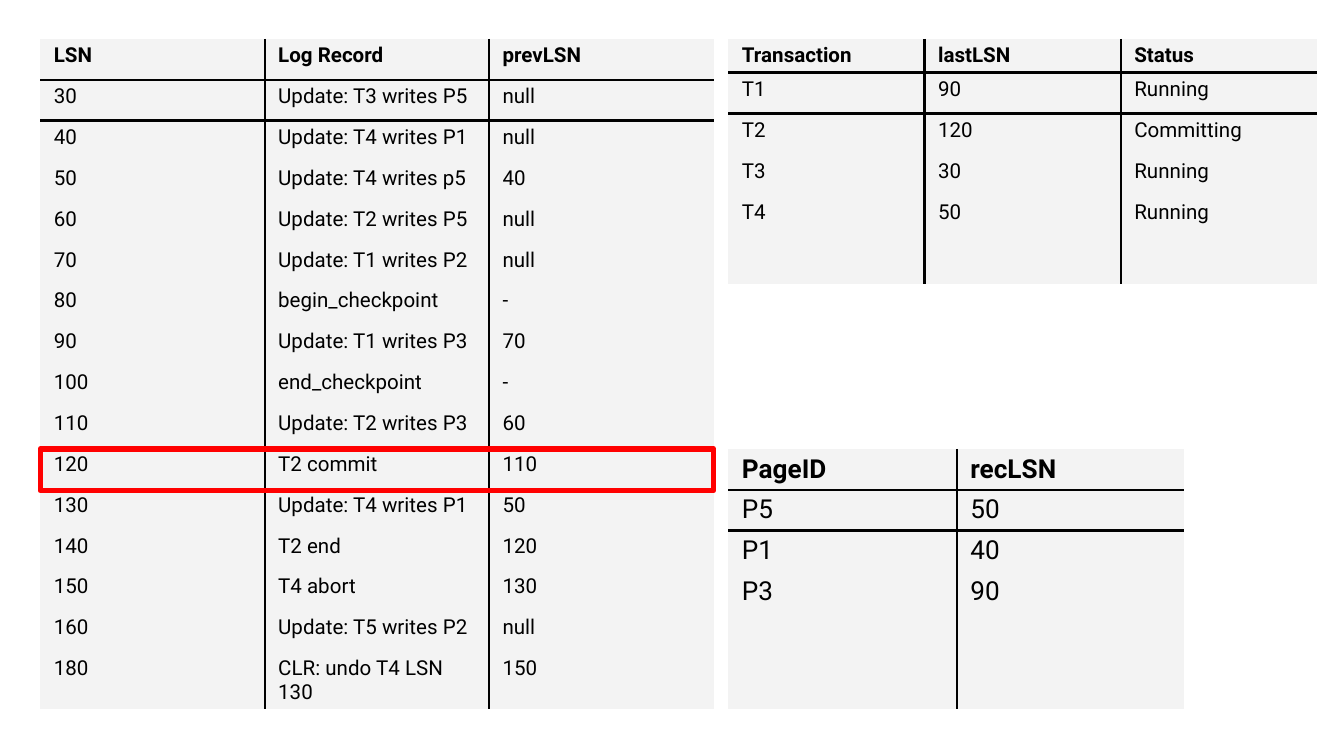
from dataclasses import dataclass

from lxml import etree
from pptx import Presentation
from pptx.dml.color import RGBColor
from pptx.enum.shapes import MSO_SHAPE
from pptx.oxml.ns import qn
from pptx.util import Inches, Pt

RECTANGLE = MSO_SHAPE.RECTANGLE
BLACK = RGBColor(0x00, 0x00, 0x00)
PALE_GREY = RGBColor(0xF3, 0xF3, 0xF3)
RED = RGBColor(0xFF, 0x00, 0x00)
FONT = "Roboto"
BORDER_WIDTH = Pt(1.5)
RULED_ROWS = 2
FRAME_SIZE = Inches(3.28)
ROW_HEIGHT = Pt(21.9)
EMPTY_ROW_HEIGHT = Inches(0.36)


@dataclass(frozen=True)
class TableSpec:
    left: float
    top: float
    column_widths: tuple[float, ...]
    header_height: int
    font_size: int
    rows: list[tuple[str, ...]]
    empty_rows: int = 0


LOG = TableSpec(0.3, 0.29, (1.67, 1.67, 1.67), ROW_HEIGHT, 11, [
    ("LSN", "Log Record", "prevLSN"),
    ("30", "Update: T3 writes P5", "null"),
    ("40", "Update: T4 writes P1", "null"),
    ("50", "Update: T4 writes p5", "40"),
    ("60", "Update: T2 writes P5", "null"),
    ("70", "Update: T1 writes P2", "null"),
    ("80", "begin_checkpoint", "-"),
    ("90", "Update: T1 writes P3", "70"),
    ("100", "end_checkpoint", "-"),
    ("110", "Update: T2 writes P3", "60"),
    ("120", "T2 commit", "110"),
    ("130", "Update: T4 writes P1", "50"),
    ("140", "T2 end", "120"),
    ("150", "T4 abort", "130"),
    ("160", "Update: T5 writes P2", "null"),
    ("180", "CLR: undo T4 LSN 130", "150"),
])
TRANSACTIONS = TableSpec(5.42, 0.29, (1.46, 1.46, 1.46), Inches(0.25), 11, [
    ("Transaction", "lastLSN", "Status"),
    ("T1", "90", "Running"),
    ("T2", "120", "Committing"),
    ("T3", "30", "Running"),
    ("T4", "50", "Running"),
], empty_rows=1)
DIRTY_PAGES = TableSpec(5.42, 3.34, (1.7, 1.69), ROW_HEIGHT, 14, [
    ("PageID", "recLSN"),
    ("P5", "50"),
    ("P1", "40"),
    ("P3", "90"),
], empty_rows=2)


def set_borders(cell, visible: dict[str, bool]) -> None:
    properties = cell._tc.get_or_add_tcPr()
    for side, shown in visible.items():
        line = etree.SubElement(properties, qn(f"a:ln{side}"))
        if shown:
            line.set("w", str(BORDER_WIDTH))
            fill = etree.SubElement(line, qn("a:solidFill"))
            etree.SubElement(fill, qn("a:srgbClr"), val=str(BLACK))
        else:
            etree.SubElement(line, qn("a:noFill"))


def format_cell(cell, text: str, font_size: int, bold: bool) -> None:
    cell.margin_left = cell.margin_right = Inches(0.1)
    cell.margin_top = cell.margin_bottom = Pt(2.6)
    cell.fill.solid()
    cell.fill.fore_color.rgb = PALE_GREY
    if text:
        cell.text = text
    font = cell.text_frame.paragraphs[0].font
    font.name = FONT
    font.size = Pt(font_size)
    font.bold = bold
    font.color.rgb = BLACK


def draw_table(slide, spec: TableSpec) -> None:
    column_count = len(spec.column_widths)
    rows = spec.rows + [("",) * column_count] * spec.empty_rows
    heights = [spec.header_height] + [ROW_HEIGHT] * (len(spec.rows) - 1)
    heights += [EMPTY_ROW_HEIGHT] * spec.empty_rows
    frame = slide.shapes.add_table(
        len(rows), column_count, Inches(spec.left), Inches(spec.top),
        FRAME_SIZE, FRAME_SIZE)
    table = frame.table
    table.horz_banding = False
    for column, width in zip(table.columns, spec.column_widths):
        column.width = Inches(width)
    for row_index, (values, height) in enumerate(zip(rows, heights)):
        table.rows[row_index].height = height
        for column_index, text in enumerate(values):
            cell = table.cell(row_index, column_index)
            set_borders(cell, {
                "L": column_index > 0,
                "R": column_index < column_count - 1,
                "T": 0 < row_index <= RULED_ROWS,
                "B": row_index < RULED_ROWS,
            })
            format_cell(cell, text, spec.font_size, row_index == 0)
    frame.width = frame.height = FRAME_SIZE


def draw_commit_highlight(slide) -> None:
    shape = slide.shapes.add_shape(
        RECTANGLE, Inches(0.3), Inches(3.34), Inches(5.01), Inches(0.31))
    shape.shadow.inherit = False
    shape.fill.background()
    shape.line.color.rgb = RED
    shape.line.width = Pt(3)


def main() -> None:
    presentation = Presentation()
    presentation.slide_width = Inches(10)
    presentation.slide_height = presentation.slide_width * 9 // 16
    slide = presentation.slides.add_slide(presentation.slide_layouts[6])
    for spec in (LOG, TRANSACTIONS, DIRTY_PAGES):
        draw_table(slide, spec)
    draw_commit_highlight(slide)
    presentation.save("out.pptx")


if __name__ == "__main__":
    main()
